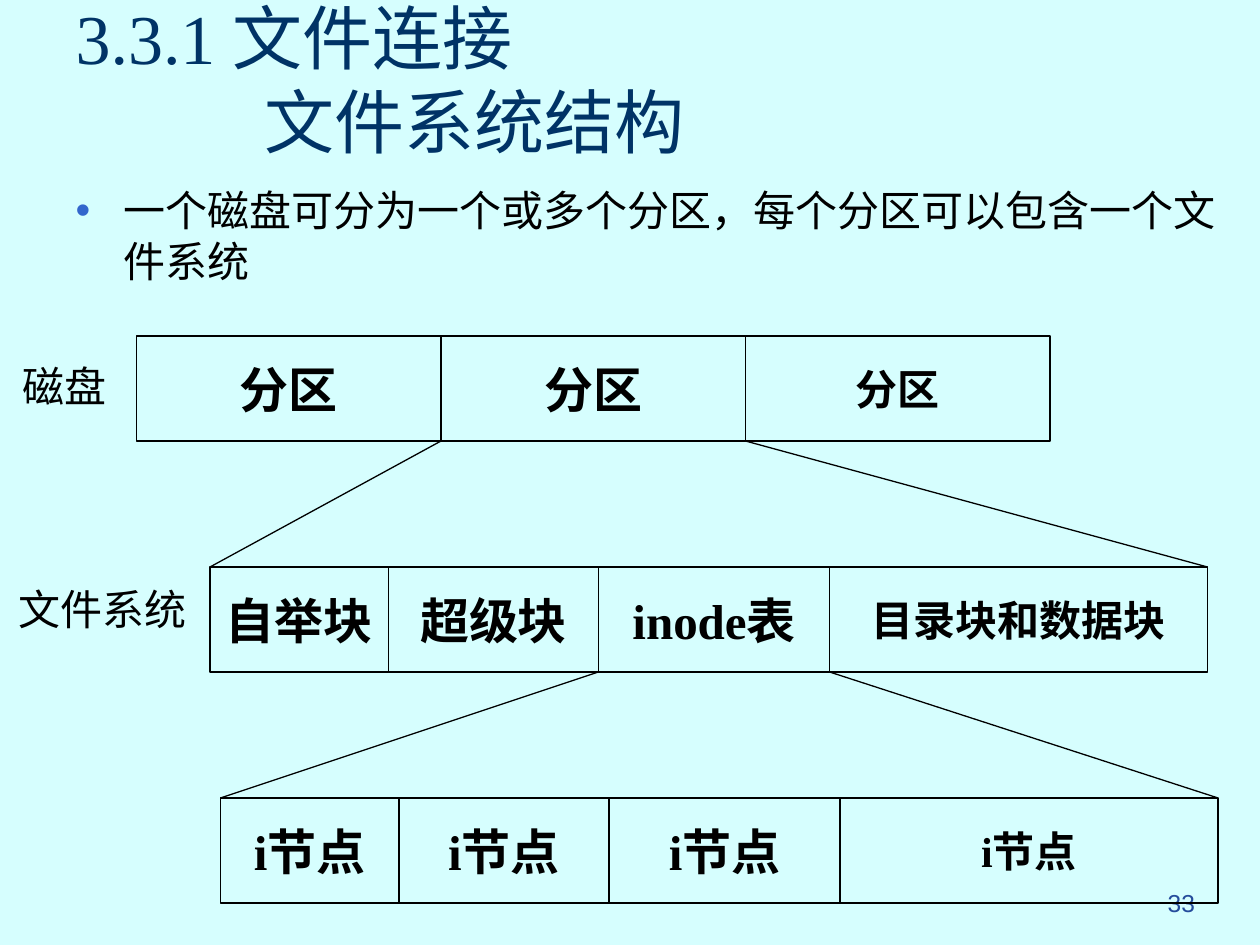
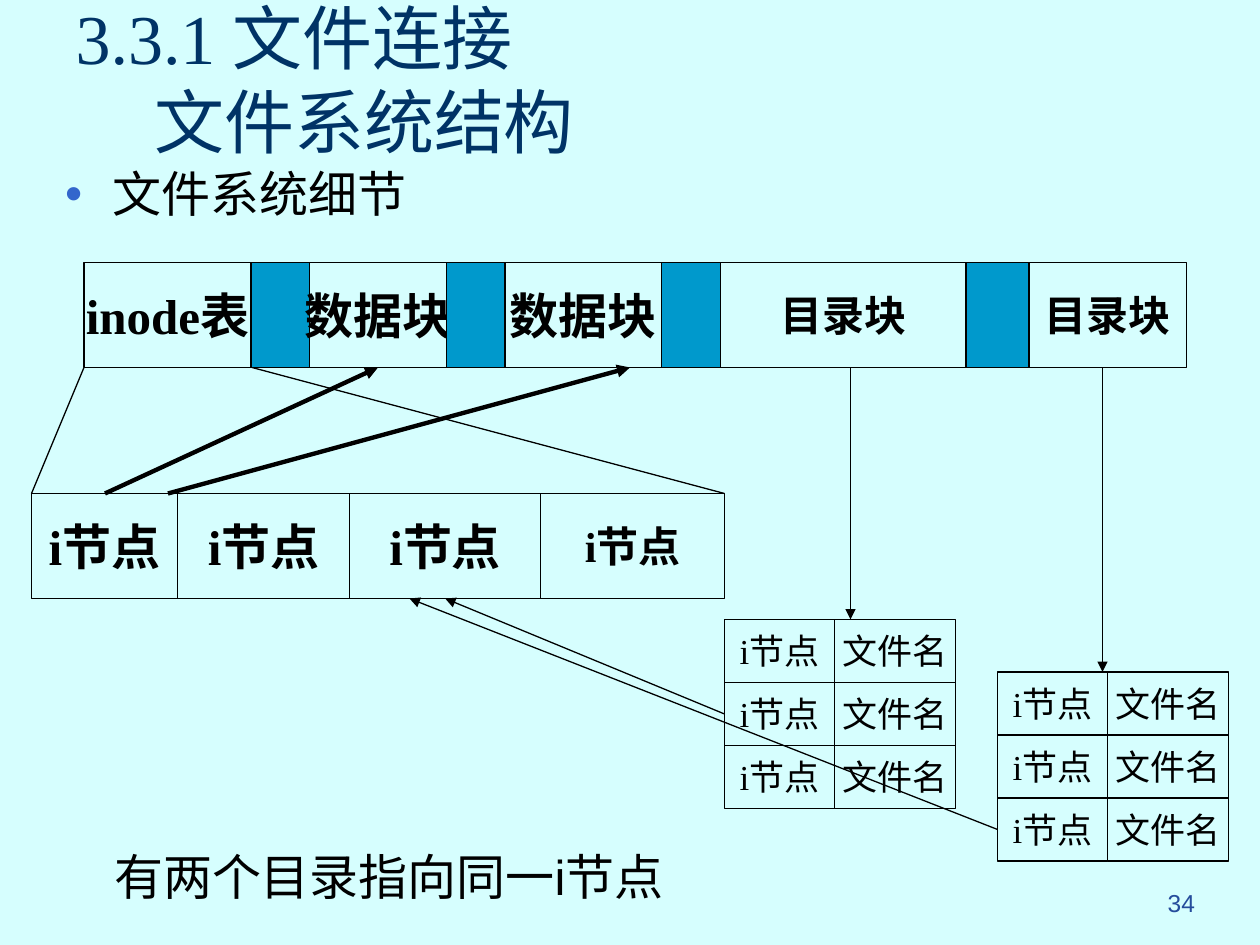
from lxml import etree
from pptx import Presentation, util as u
from pptx.dml.color import RGBColor
from pptx.enum import shapes, text
from pptx.oxml import ns

COLS, ROWS = 120, 90
TALL = 10
SERIF, SANS = "Times New Roman", "Arial"
INK, NAVY, BLUE, TEAL, PALE, PAGE = "000000", "003366", "3366CC", "0099CC", "D6FEFE", "254C9C"
MID, TOP = text.MSO_ANCHOR.MIDDLE, text.MSO_ANCHOR.TOP
LEFT, MIDST, RIGHT = text.PP_ALIGN.LEFT, text.PP_ALIGN.CENTER, text.PP_ALIGN.RIGHT


def hue(code):
    return RGBColor.from_string(code)


def node(host, tag, **attrs):
    return etree.SubElement(host, ns.qn(tag), attrs)


class Deck:
    def __init__(self):
        self.show = Presentation()
        self.show.slide_width, self.show.slide_height = u.Inches(10), u.Inches(7.5)
        back = self.show.slide_master.background.fill
        back.solid()
        back.fore_color.rgb = hue(PALE)

    def x(self, col):
        return round(self.show.slide_width * col / COLS)

    def y(self, row):
        return round(self.show.slide_height * row / ROWS)

    def area(self, col, row, wide, tall):
        return self.x(col), self.y(row), self.x(wide), self.y(tall)

    def place(self, shape, *area):
        shape.left, shape.top, shape.width, shape.height = self.area(*area)

    def style(self, para, size, face=SERIF, ink=INK, align=MIDST, bold=False):
        para.alignment = align
        font = para.font
        font.size, font.name, font.bold = u.Pt(size), face, bold
        font.color.rgb = hue(ink)

    def frame(self, shape, words, anchor=MID, wrap=False):
        body = shape.text_frame
        body.auto_size = text.MSO_AUTO_SIZE.NONE
        body.word_wrap, body.vertical_anchor = wrap, anchor
        body.text = words
        return body.paragraphs

    def start(self, page, inset):
        self.slide = self.show.slides.add_slide(self.show.slide_layouts[1])
        head = self.slide.shapes.title
        self.place(head, 6, 0, 108, 15)
        paras = self.frame(head, "3.3.1 文件连接\n文件系统结构", wrap=True)
        for para in paras:
            self.style(para, 40, ink=NAVY, align=LEFT)
        paras[1]._p.get_or_add_pPr().set("marL", str(self.x(inset)))
        self.label(page, (90, 84, 25, 6), 14, SANS, PAGE, RIGHT, TOP)

    def point(self, words, area, size):
        body = self.slide.placeholders[1]
        self.place(body, *area)
        para = self.frame(body, words, TOP, True)[0]
        props = para._p.get_or_add_pPr()
        hang = u.Inches(0.38)
        props.set("marL", str(hang))
        props.set("indent", str(-hang))
        para.space_before = u.Pt(size / 4)
        node(node(props, "a:buClr"), "a:srgbClr", val=BLUE)
        node(props, "a:buFont", typeface=SANS)
        node(props, "a:buChar", char="•")
        self.style(para, size, SANS, align=LEFT)

    def label(self, words, area, size, face=SERIF, ink=INK, align=MIDST, anchor=MID):
        box = self.slide.shapes.add_textbox(*self.area(*area))
        para = self.frame(box, words, anchor, align != MIDST)[0]
        para.space_before = u.Pt(size / 4 if anchor == TOP else 0)
        self.style(para, size, face, ink, align)

    def box(self, words, area, size, bold=True):
        rect = self.slide.shapes.add_shape(shapes.MSO_SHAPE.RECTANGLE, *self.area(*area))
        rect.shadow.inherit = False
        rect.line.color.rgb, rect.line.width = hue(INK), u.Pt(0.75)
        if words:
            rect.fill.background()
            self.style(self.frame(rect, words)[0], size, bold=bold)
        else:
            rect.fill.solid()
            rect.fill.fore_color.rgb = hue(TEAL)

    def strip(self, col, row, cells, tall=TALL, bold=True):
        for words, wide, size in cells:
            self.box(words, (col, row, wide, tall), size, bold)
            col += wide

    def list(self, col, row):
        for step in range(3):
            self.strip(col, row + 6 * step, [("i节点", 10.5, 20), ("文件名", 11.5, 20)], 6, False)

    def line(self, start, end, width=0.75, arrow=False):
        link = self.slide.shapes.add_connector(
            shapes.MSO_CONNECTOR.STRAIGHT,
            self.x(start[0]), self.y(start[1]), self.x(end[0]), self.y(end[1]))
        link.line.color.rgb, link.line.width = hue(INK), u.Pt(width)
        props = link._element.spPr
        if arrow:
            node(props.find(ns.qn("a:ln")), "a:tailEnd", type="triangle")
        node(props, "a:effectLst")

    def zoom(self, row, *pairs):
        for upper, lower in pairs:
            self.line((upper, row), (lower, row + 12))


def layers(deck):
    deck.start("33", 18)
    deck.point("一个磁盘可分为一个或多个分区，每个分区可以包含一个文件系统", (6, 17, 113, 22), 24)
    deck.strip(13, 32, [("分区", 29, size) for size in (28, 28, 24)])
    wides, sizes = (17, 20, 22, 36), (28, 28, 28, 24)
    blocks = ("自举块", "超级块", "inode表", "目录块和数据块")
    deck.strip(20, 54, zip(blocks, wides, sizes))
    deck.strip(21, 76, zip(["i节点"] * 4, wides, sizes))
    deck.label("磁盘", (1, 33.7, 10.3, 6), 24)
    deck.label("文件系统", (0.6, 55, 18.4, 6), 24)
    deck.zoom(42, (42, 20), (71, 115))
    deck.zoom(64, (57, 21), (79, 116))


def detail(deck):
    deck.start("34", 7.5)
    deck.point("文件系统细节", (5, 15, 109, 9), 28)
    deck.strip(3, 47, [("i节点", 13.9, 28), ("i节点", 16.4, 28),
                       ("i节点", 18.2, 28), ("i节点", 17.5, 24)])
    deck.zoom(35, (8, 3), (24, 69))
    gap = ("", 5.6, 28)
    deck.strip(8, 25, [("inode表", 15.9, 28), gap, ("数据块", 13, 28), gap,
                       ("数据块", 14.9, 28), gap, ("目录块", 23.4, 24),
                       ("", 6, 28), ("目录块", 15, 24)])
    deck.list(95, 64)
    deck.list(69, 59)
    for start, end in (((10, 47), (36, 35)), ((16, 47), (60, 35))):
        deck.line(start, end, 2.5, True)
    for start, end in (((81, 35), (81, 59)), ((105, 35), (105, 64)),
                       ((69, 68), (42.4, 57)), ((95, 79), (39, 57))):
        deck.line(start, end, arrow=True)
    deck.label("有两个目录指向同一i节点", (9.7, 80, 65.3, 9), 28, SANS, align=LEFT, anchor=TOP)


def main():
    deck = Deck()
    layers(deck)
    detail(deck)
    deck.show.save("out.pptx")


if __name__ == "__main__":
    main()
